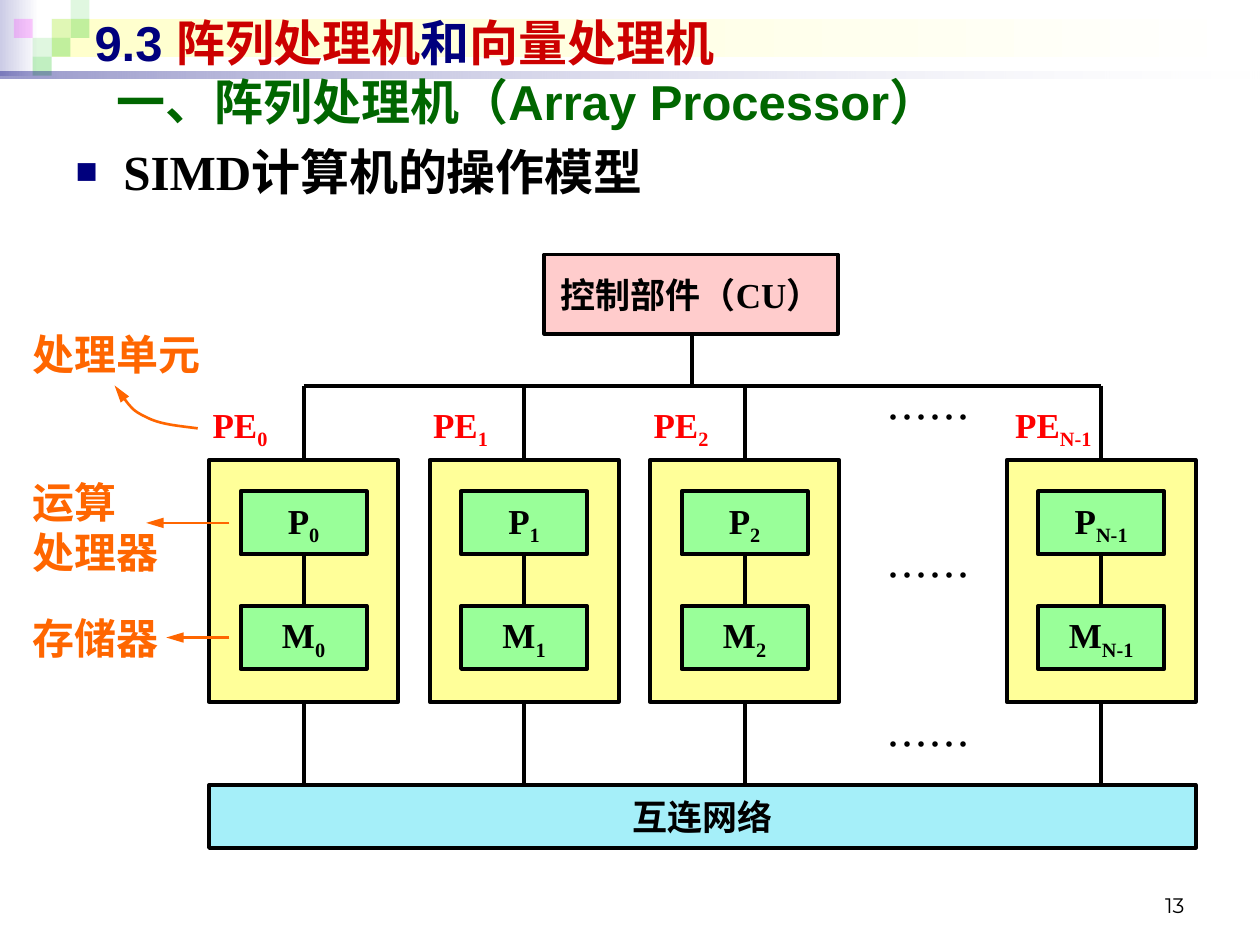
"""Build the slide on the SIMD operating model of an array processor."""
from lxml import etree
from pptx import Presentation
from pptx.dml.color import RGBColor
from pptx.enum.shapes import MSO_CONNECTOR, MSO_SHAPE
from pptx.enum.text import MSO_ANCHOR, PP_ALIGN
from pptx.oxml.ns import qn
from pptx.util import Inches, Pt

RECT = MSO_SHAPE.RECTANGLE
STRAIGHT = MSO_CONNECTOR.STRAIGHT
LEFT, CENTER, RIGHT = PP_ALIGN.LEFT, PP_ALIGN.CENTER, PP_ALIGN.RIGHT
TOP, MIDDLE, BOTTOM = MSO_ANCHOR.TOP, MSO_ANCHOR.MIDDLE, MSO_ANCHOR.BOTTOM
SERIF, SANS, CJK, NUMBER = "Times New Roman", "Arial", "Noto Sans CJK SC", "Montserrat"
COLORS = {
    "white": "FFFFFF", "black": "000000", "navy": "00007D", "crimson": "CC0000",
    "heading": "006600", "red": "FF0000", "orange": "FF6600", "pink": "FFCCCC",
    "yellow": "FFFF99", "green": "99FF99", "cyan": "A5EFF9", "lavender": "CCCCE6",
    "cream": "FFFFCC", "leaf": "33CC33", "magenta": "FF00FF",
}
COLUMNS, ROWS = 100, 75


def color(name):
    """Return the named palette colour."""
    return RGBColor.from_string(COLORS[name])


def add_xml(parent, tag, **attributes):
    """Append a DrawingML element and return it."""
    return etree.SubElement(parent, qn(f"a:{tag}"), attributes)


def set_opacity(fill_element, *percents):
    """Give each colour inside a fill its opacity."""
    for rgb, percent in zip(fill_element.iter(qn("a:srgbClr")), percents):
        add_xml(rgb, "alpha", val=str(percent * 1000))


class DiagramSlide:
    """Draw styled elements on a slide measured in grid columns and rows."""

    def __init__(self, presentation):
        """Add a title and body slide to the presentation."""
        self.slide = presentation.slides.add_slide(presentation.slide_layouts[1])
        self.shapes = self.slide.shapes
        self.column = presentation.slide_width / COLUMNS
        self.row = presentation.slide_height / ROWS

    def scale(self, *lengths):
        """Turn alternating columns and rows into slide lengths."""
        units = (self.column, self.row)
        return [round(length * units[i % 2]) for i, length in enumerate(lengths)]

    def set_text(self, shape, text, size, font, ink="black", bold=True, align=LEFT,
                 anchor=TOP, wrap=True):
        """Set a string, or (text, colour, subscript) runs, as one paragraph."""
        frame = shape.text_frame
        frame.word_wrap = wrap
        frame.vertical_anchor = anchor
        paragraph = frame.paragraphs[0]
        paragraph.alignment = align
        paragraph.font.size = Pt(size)
        paragraph.font.name = font
        paragraph.font.bold = bold
        paragraph.font.color.rgb = color(ink)
        if isinstance(text, str):
            paragraph.text = text
            return paragraph
        for words, run_ink, subscript in text:
            run = paragraph.add_run()
            run.text = words
            run.font.color.rgb = color(run_ink)
            if subscript:
                run._r.get_or_add_rPr().set("baseline", "-25000")
        return paragraph

    def placeholder(self, index, area, text, size, font, **style):
        """Move a placeholder to the front and fill it."""
        holder = self.slide.placeholders[index]
        holder.left, holder.top, holder.width, holder.height = self.scale(*area)
        self.shapes._spTree.append(holder._element)
        return self.set_text(holder, text, size, font, **style)

    def bullet_list(self, area, text):
        """Fill the body placeholder with a square-bulleted line."""
        paragraph = self.placeholder(1, area, text, 28, SERIF)
        paragraph.space_before = Pt(3)
        properties = paragraph._p.get_or_add_pPr()
        properties.set("marL", str(Inches(0.38)))
        properties.set("indent", str(Inches(-0.38)))
        defaults = properties.find(qn("a:defRPr"))
        add_xml(add_xml(properties, "buClr"), "srgbClr", val=COLORS["navy"])
        add_xml(properties, "buSzPct", val="75000")
        add_xml(properties, "buFont", typeface=SANS)
        add_xml(properties, "buChar", char="■")
        properties.append(defaults)

    def label(self, area, text, size=24, font=SERIF, **style):
        """Add a text box."""
        self.set_text(self.shapes.add_textbox(*self.scale(*area)), text, size, font, **style)

    def plain(self, area):
        """Add a rectangle without line or shadow."""
        shape = self.shapes.add_shape(RECT, *self.scale(*area))
        shape.shadow.inherit = False
        shape.line.fill.background()
        return shape

    def tile(self, area, fill, opacity):
        """Add a translucent decoration tile."""
        shape = self.plain(area)
        shape.fill.solid()
        shape.fill.fore_color.rgb = color(fill)
        set_opacity(shape._element.spPr, opacity)

    def fade(self, area, start, opacities=()):
        """Add a band that fades to white from left to right."""
        shape = self.plain(area)
        shape.fill.gradient()
        shape.fill.gradient_angle = 0
        for stop, name in zip(shape.fill.gradient_stops, (start, "white")):
            stop.color.rgb = color(name)
        set_opacity(shape._element.spPr, *opacities)

    def box(self, area, fill, text="", font=SERIF):
        """Add an outlined box with centred text."""
        shape = self.plain(area)
        shape.fill.solid()
        shape.fill.fore_color.rgb = color(fill)
        self.stroke(shape)
        if text:
            self.set_text(shape, text, 20, font, align=CENTER, anchor=MIDDLE, wrap=False)

    def stroke(self, shape, ink="black", width=2.25, arrow=False):
        """Style a line, with an arrowhead at its end on request."""
        shape.line.color.rgb = color(ink)
        shape.line.width = Pt(width)
        if arrow:
            add_xml(shape.line._get_or_add_ln(), "tailEnd", type="triangle", len="lg")

    def line(self, start, end, **style):
        """Add a straight connector."""
        connector = self.shapes.add_connector(STRAIGHT, *self.scale(*start, *end))
        self.stroke(connector, **style)
        add_xml(connector._element.spPr, "effectLst")

    def curve(self, start, controls, **style):
        """Add an open Bézier curve through triples of control points."""
        builder = self.shapes.build_freeform(*self.scale(*start))
        builder.add_line_segments([self.scale(*point) for point in controls], close=False)
        shape = builder.convert_to_shape()
        shape.shadow.inherit = False
        shape.fill.background()
        outline = next(shape._element.iter(qn("a:path")))
        segments = outline.findall(qn("a:lnTo"))
        for first in range(0, len(segments), 3):
            bezier = add_xml(outline, "cubicBezTo")
            for segment in segments[first:first + 3]:
                bezier.append(segment[0])
                outline.remove(segment)
        self.stroke(shape, **style)


def draw_header(page):
    """Draw the header decoration and the headings."""
    page.fade((0, 0, 3.1, 6), "lavender")
    page.fade((4.1, 1.5, 95.5, 3), "cream")
    for column, row, fill, opacity in (
            (2, 1, "leaf", 15), (3, 0, "leaf", 15), (3, 1, "leaf", 30), (1, 2, "leaf", 15),
            (0, 1, "magenta", 20), (2, 2, "leaf", 30), (1, 3, "leaf", 30)):
        page.tile((1.1 + 1.5 * column, 1.5 * row, 1.5, 1.5), fill, opacity)
    page.fade((0, 5.7, 100, 0.5), "navy", (40, 10))
    page.label((71.7, 68.3, 23.3, 5), "13", 12, NUMBER, bold=False, align=RIGHT, anchor=BOTTOM)
    title = [("9.3 ", "navy", False), ("阵列处理机", "crimson", False),
             ("和", "navy", False), ("向量处理机", "crimson", False)]
    page.placeholder(0, (6.5, 0.5, 90, 5.7), title, 28, SANS, anchor=MIDDLE)
    page.bullet_list((5, 10.7, 91.5, 6.3), "SIMD计算机的操作模型")
    page.label((8.3, 5.2, 88.4, 5.7), "一、阵列处理机（Array Processor）", 28, SANS,
               ink="heading", anchor=MIDDLE)


def draw_model(page):
    """Draw the control unit, processing elements and network."""
    bus, unit_top, unit_bottom, network = 30.6, 36.5, 55.7, 62.3
    units = {"0": 16.6, "1": 34.1, "2": 51.6, "N-1": 79.9}
    page.box((43.2, 20.2, 23.3, 6.3), "pink", "控制部件（CU）")
    page.box((16.6, network, 78.3, 5), "cyan", "互连网络", SANS)
    for index, left in units.items():
        middle = left + 7.5
        page.box((left, unit_top, 15, unit_bottom - unit_top), "yellow")
        for part, top in (("P", 39), ("M", 48.1)):
            page.box((left + 2.5, top, 10, 5), "green",
                     [(part, "black", False), (index, "black", True)])
        for top, bottom in ((bus, unit_top), (44, 48.1), (unit_bottom, network)):
            page.line((middle, top), (middle, bottom))
        width = 6.7 if len(index) == 1 else 9.2
        page.label((left - 0.9, 31.5, width, 4.3),
                   [("PE", "red", False), (index, "red", True)], 20, align=CENTER)
    page.line((units["0"] + 7.5, bus), (units["N-1"] + 7.5, bus))
    page.line((54.9, 26.5), (54.9, bus))
    for top in (30.6, 43.1, 56.5):
        page.label((69.1, top, 9.2, 5), "……", font=CJK, bold=False, align=CENTER)


def draw_callouts(page):
    """Name the parts of the first processing element."""
    for top, width, height, name in ((25.6, 15.8, 5, "处理单元"), (37.3, 13.3, 9, "运算\n处理器"),
                                     (48.1, 12.5, 5, "存储器")):
        page.label((1.6, top, width, height), name, ink="orange")
    arrow = {"ink": "orange", "width": 1.5, "arrow": True}
    for row, end in ((41.5, 11.6), (50.6, 13.2)):
        page.line((18.2, row), (end, row), **arrow)
    page.curve((15.7, 34), [(14.2, 33.8), (12.7, 33.7), (11.6, 33.1),
                            (10.5, 32.6), (9.8, 31.6), (9.1, 30.6)], **arrow)


def main():
    """Build and save the presentation."""
    presentation = Presentation()
    presentation.slide_width, presentation.slide_height = Inches(10), Inches(7.5)
    page = DiagramSlide(presentation)
    draw_header(page)
    draw_model(page)
    draw_callouts(page)
    presentation.save("out.pptx")


if __name__ == "__main__":
    main()
